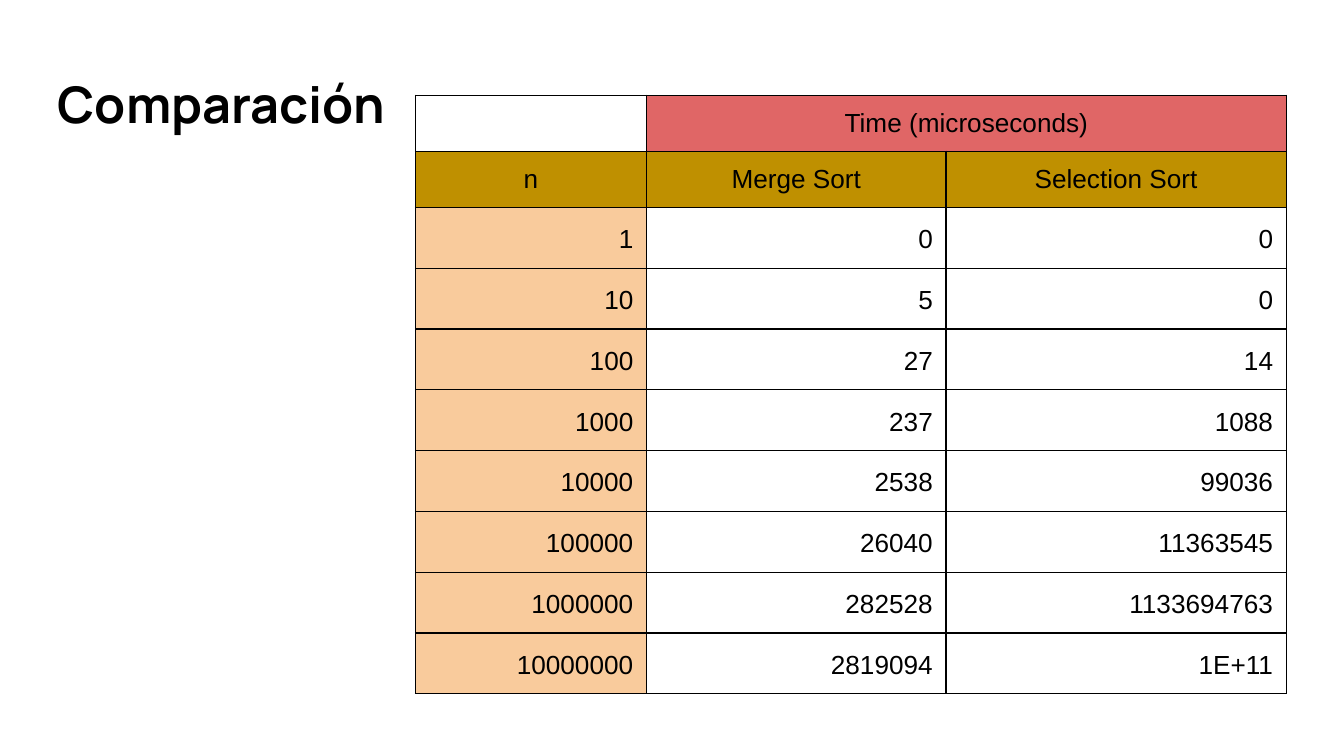
from lxml import etree
from pptx import Presentation
from pptx.dml.color import RGBColor
from pptx.enum.text import MSO_ANCHOR, PP_ALIGN
from pptx.oxml.ns import qn
from pptx.util import Cm, Pt

LEFT, CENTER, RIGHT = PP_ALIGN.LEFT, PP_ALIGN.CENTER, PP_ALIGN.RIGHT
TOP = MSO_ANCHOR.TOP
TITLE_ONLY = 5
INSET = 0.25
BLACK, RED, GOLD, PEACH = "000000", "E06666", "BF9000", "F9CB9C"
COLUMN_WIDTHS = (4.37, 5.66, 6.43)
HEADER_HEIGHT, BODY_HEIGHT = 1.06, 1.15
HEADERS = (("", "Time (microseconds)", ""), ("n", "Merge Sort", "Selection Sort"))
TIMINGS = (
    ("1", "0", "0"),
    ("10", "5", "0"),
    ("100", "27", "14"),
    ("1000", "237", "1088"),
    ("10000", "2538", "99036"),
    ("100000", "26040", "11363545"),
    ("1000000", "282528", "1133694763"),
    ("10000000", "2819094", "1E+11"),
)


def color(value):
    return RGBColor.from_string(value)


def add_span(para, text, font, size, bold=False):
    span = para.add_run()
    span.text = text
    span.font.name = font
    span.font.size = Pt(size)
    span.font.bold = bold
    span.font.color.rgb = color(BLACK)


def add_borders(cell):
    properties = cell._tc.get_or_add_tcPr()
    for side in ("a:lnL", "a:lnR", "a:lnT", "a:lnB"):
        line = etree.SubElement(properties, qn(side), w=str(Pt(0.75)))
        fill = etree.SubElement(line, qn("a:solidFill"))
        etree.SubElement(fill, qn("a:srgbClr"), val=BLACK)


def format_cell(cell, text, fill, align, spacing):
    add_borders(cell)
    if fill:
        cell.fill.solid()
        cell.fill.fore_color.rgb = color(fill)
    else:
        cell.fill.background()
    cell.vertical_anchor = TOP
    cell.margin_left = cell.margin_right = Cm(INSET)
    cell.margin_top = cell.margin_bottom = Cm(INSET if text else 0)
    if text:
        para = cell.text_frame.paragraphs[0]
        para.alignment = align
        para.line_spacing = spacing
        add_span(para, text, "Arial", 14)


def place_title(page, left, top, width, height):
    box = page.shapes.title
    box.left, box.top, box.width, box.height = Cm(left), Cm(top), Cm(width), Cm(height)
    frame = box.text_frame
    frame.word_wrap = True
    frame.vertical_anchor = TOP
    frame.margin_left = frame.margin_right = Cm(INSET)
    frame.margin_top = frame.margin_bottom = Cm(INSET)
    para = frame.paragraphs[0]
    para.alignment = LEFT
    para.line_spacing = 1.0
    add_span(para, "Comparación", "Manrope", 27, bold=True)


def place_timings(page, left, top, width, height):
    rows = HEADERS + TIMINGS
    table = page.shapes.add_table(
        len(rows), len(COLUMN_WIDTHS), Cm(left), Cm(top), Cm(width), Cm(height)
    ).table
    table.first_row = table.horz_banding = False
    for column, column_width in zip(table.columns, COLUMN_WIDTHS):
        column.width = Cm(column_width)
    for i, values in enumerate(rows):
        header = i < len(HEADERS)
        table.rows[i].height = Cm(HEADER_HEIGHT if header else BODY_HEIGHT)
        for j, text in enumerate(values):
            if header:
                fill = GOLD if i else RED if j else None
            else:
                fill = None if j else PEACH
            align, spacing = (CENTER, 1.0) if header else (RIGHT, 1.15)
            format_cell(table.cell(i, j), text, fill, align, spacing)
    table.cell(0, 1).merge(table.cell(0, 2))


def main():
    deck = Presentation()
    deck.slide_width, deck.slide_height = Cm(25.4), Cm(14.29)
    page = deck.slides.add_slide(deck.slide_layouts[TITLE_ONLY])
    place_title(page, 0.84, 1.14, 23.67, 1.78)
    table_height = len(HEADERS) * HEADER_HEIGHT + len(TIMINGS) * BODY_HEIGHT
    place_timings(page, 7.85, 1.8, sum(COLUMN_WIDTHS), table_height)
    deck.save("out.pptx")


if __name__ == "__main__":
    main()
